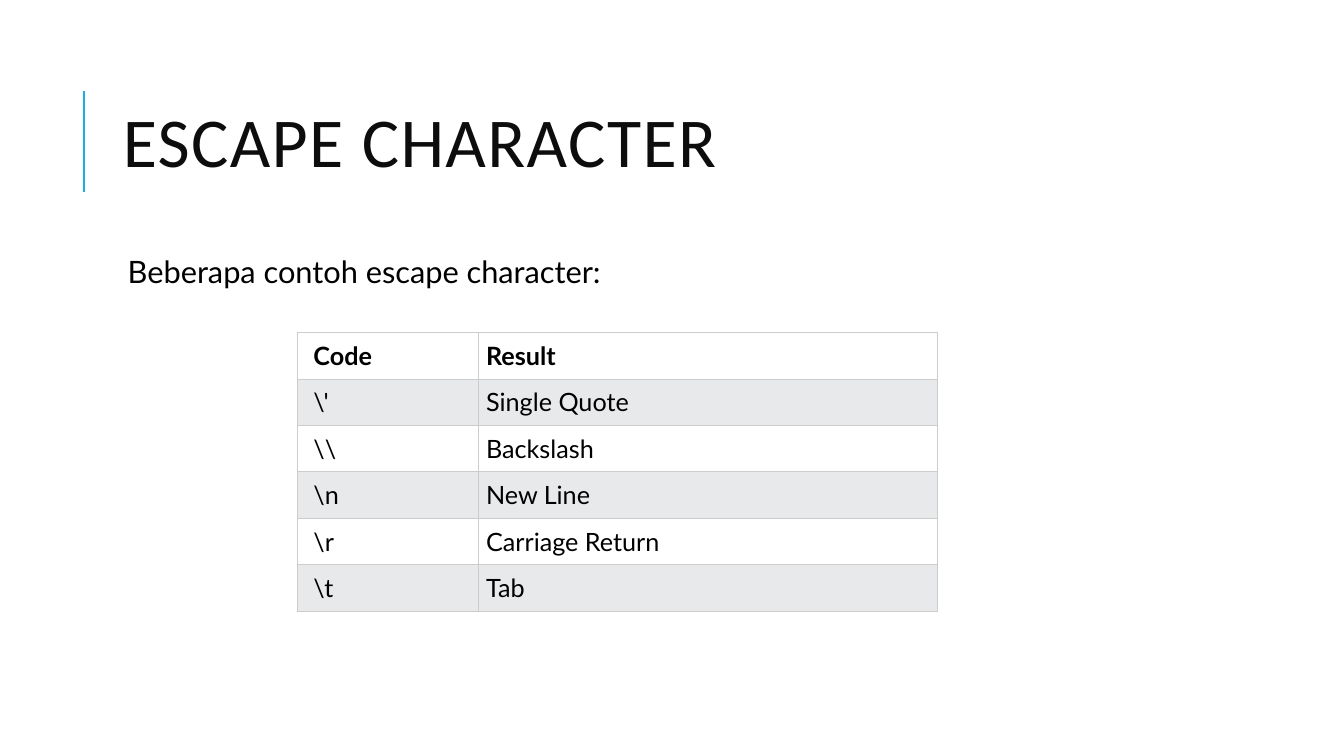
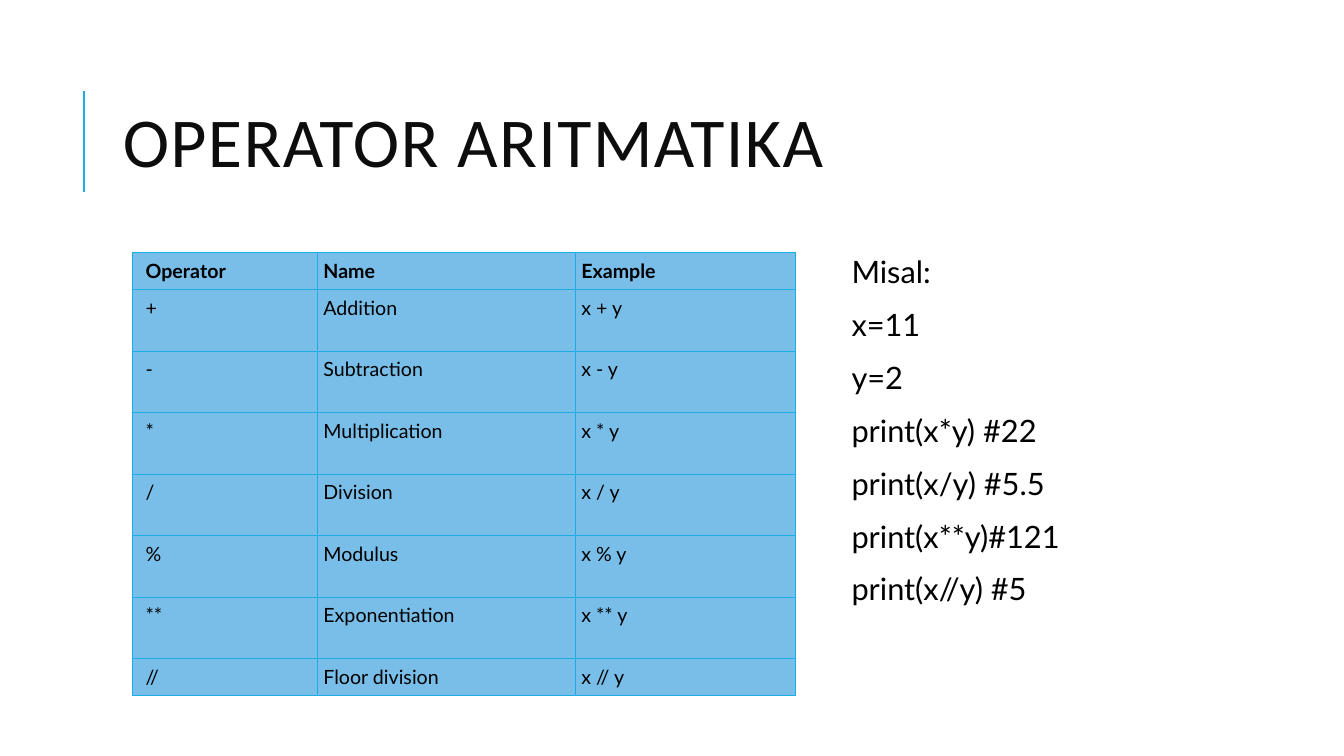
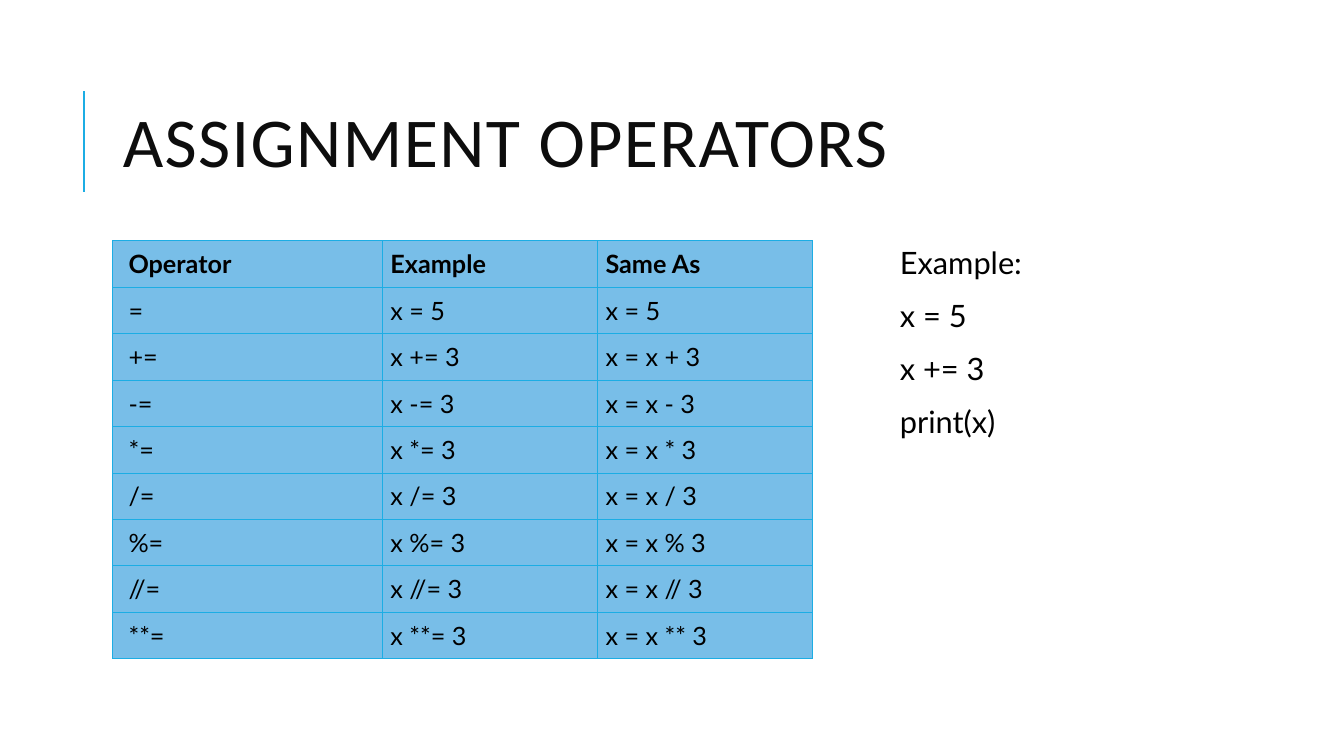
from dataclasses import dataclass

from lxml.etree import SubElement
from pptx import Presentation
from pptx.dml.color import RGBColor
from pptx.enum.shapes import MSO_CONNECTOR
from pptx.enum.text import MSO_ANCHOR, PP_ALIGN
from pptx.oxml.ns import qn
from pptx.util import Cm, Pt


# Theme: colours, fonts and type sizes
@dataclass(frozen=True)
class Theme:
    accent: str = "1CADE4"
    title: str = "0D0D0D"
    text: str = "000000"
    white: str = "FFFFFF"
    stripe: str = "E7E9EB"
    grid: str = "CCCCCC"
    panel: str = "78BEE8"
    title_font: str = "Calibri"
    body_font: str = "Lato"
    title_size: int = 50
    body_size: int = 22
    table_size: int = 18
    small_table_size: int = 14


THEME = Theme()


# Position and size in centimetres
@dataclass(frozen=True)
class Box:
    left: float
    top: float
    width: float
    height: float

    def lengths(self):
        return Cm(self.left), Cm(self.top), Cm(self.width), Cm(self.height)


@dataclass(frozen=True)
class TableStyle:
    fills: tuple
    border: str
    border_width: float
    size: int
    inset: float


STRIPED = TableStyle((THEME.white, THEME.stripe), THEME.grid, 0.71, THEME.table_size, 0.2)
BLUE = TableStyle((THEME.panel,), THEME.accent, 0.75, THEME.table_size, 0.2)
BLUE_SMALL = TableStyle((THEME.panel,), THEME.accent, 0.75, THEME.small_table_size, 0.16)

TITLE_BOX = Box(2.84, 1.63, 27, 4.17)
TITLE_ONLY = 5
ROW_HEIGHT = 1.17


def add_run(paragraph, text, font_name, size, color, bold=False):
    run = paragraph.add_run()
    run.text = text
    font = run.font
    font.name, font.size, font.bold = font_name, Pt(size), bold
    font.color.rgb = RGBColor.from_string(color)
    return run


# Title with the accent line on its left
def add_title(slide, box, text):
    title = slide.shapes.title
    title.left, title.top, title.width, title.height = box.lengths()
    frame = title.text_frame
    frame.vertical_anchor = MSO_ANCHOR.MIDDLE
    paragraph = frame.paragraphs[0]
    paragraph.alignment = PP_ALIGN.LEFT
    paragraph.line_spacing = 0.8
    run = add_run(paragraph, text, THEME.title_font, THEME.title_size, THEME.title)
    run.font._element.set("spc", "100")

    line_left, line_top = Cm(box.left - 0.72), Cm(box.top + 0.66)
    line = slide.shapes.add_connector(
        MSO_CONNECTOR.STRAIGHT, line_left, line_top + Cm(2.54), line_left, line_top)
    line.line.color.rgb = RGBColor.from_string(THEME.accent)
    line.line.width = Pt(1.5)
    SubElement(line._element.spPr, qn("a:effectLst"))


# Body text, one paragraph for each line
def add_body(slide, box, lines):
    frame = slide.shapes.add_textbox(*box.lengths()).text_frame
    frame.word_wrap = True
    frame.margin_left = Cm(0.38)
    frame.margin_top = frame.margin_right = frame.margin_bottom = Cm(0.13)
    for index, text in enumerate(lines):
        paragraph = frame.add_paragraph() if index else frame.paragraphs[0]
        paragraph.line_spacing = 0.9
        paragraph.space_before, paragraph.space_after = Pt(12), Pt(2)
        add_run(paragraph, text, THEME.body_font, THEME.body_size, THEME.text)


def set_borders(cell, color, width):
    properties = cell._tc.get_or_add_tcPr()
    for side in ("lnL", "lnR", "lnT", "lnB"):
        line = SubElement(properties, qn(f"a:{side}"), w=str(Pt(width)))
        fill = SubElement(line, qn("a:solidFill"))
        SubElement(fill, qn("a:srgbClr"), val=color)


# Table with a bold header row and a wider inset in the first column
def add_table(slide, left, top, widths, heights, rows, style):
    box = Box(left, top, sum(widths), sum(heights))
    table = slide.shapes.add_table(len(rows), len(widths), *box.lengths()).table
    table.first_row = table.horz_banding = False
    for column, width in zip(table.columns, widths):
        column.width = Cm(width)
    for row_index, (row, height, texts) in enumerate(zip(table.rows, heights, rows)):
        row.height = Cm(height)
        fill = style.fills[row_index % len(style.fills)]
        for column_index, (cell, text) in enumerate(zip(row.cells, texts)):
            set_borders(cell, style.border, style.border_width)
            cell.fill.solid()
            cell.fill.fore_color.rgb = RGBColor.from_string(fill)
            cell.margin_left = Cm(style.inset if column_index else 2 * style.inset)
            cell.margin_top = cell.margin_right = cell.margin_bottom = Cm(style.inset)
            add_run(cell.text_frame.paragraphs[0], text, THEME.body_font,
                    style.size, THEME.text, bold=row_index == 0)


def new_slide(presentation, title):
    slide = presentation.slides.add_slide(presentation.slide_layouts[TITLE_ONLY])
    add_title(slide, TITLE_BOX, title)
    return slide


def escape_slide(presentation):
    slide = new_slide(presentation, "ESCAPE CHARACTER")
    add_body(slide, Box(2.84, 6.35, 27, 11.18), ["Beberapa contoh escape character:"])
    rows = [
        ("Code", "Result"),
        ("\\'", "Single Quote"),
        ("\\\\", "Backslash"),
        ("\\n", "New Line"),
        ("\\r", "Carriage Return"),
        ("\\t", "Tab"),
    ]
    add_table(slide, 7.5, 8.38, [4.55, 11.58], [ROW_HEIGHT] * len(rows), rows, STRIPED)


def arithmetic_slide(presentation):
    slide = new_slide(presentation, "OPERATOR ARITMATIKA")
    add_body(slide, Box(21.08, 6.35, 8.76, 11.18), [
        "Misal:", "x=11", "y=2", "print(x*y) #22", "print(x/y) #5.5",
        "print(x**y)#121", "print(x//y) #5"])
    operators = [
        ("+", "Addition"),
        ("-", "Subtraction"),
        ("*", "Multiplication"),
        ("/", "Division"),
        ("%", "Modulus"),
        ("**", "Exponentiation"),
        ("//", "Floor division"),
    ]
    rows = [("Operator", "Name", "Example")]
    rows += [(sign, name, f"x {sign} y") for sign, name in operators]
    heights = [0.93] + [1.55] * (len(rows) - 2) + [0.93]
    add_table(slide, 3.35, 6.37, [4.64, 6.5, 5.56], heights, rows, BLUE_SMALL)


def assignment_slide(presentation):
    slide = new_slide(presentation, "ASSIGNMENT OPERATORS")
    add_body(slide, Box(22.3, 6.12, 4.6, 11.18), ["Example:", "x = 5", "x += 3", "print(x)"])
    rows = [("Operator", "Example", "Same As"), ("=", "x = 5", "x = 5")]
    rows += [(f"{sign}=", f"x {sign}= 3", f"x = x {sign} 3")
             for sign in ("+", "-", "*", "/", "%", "//", "**")]
    add_table(slide, 2.84, 6.07, [6.8, 5.42, 5.42], [ROW_HEIGHT] * len(rows), rows, BLUE)


presentation = Presentation()
presentation.slide_width, presentation.slide_height = Cm(33.87), Cm(19.05)
for build_slide in (escape_slide, arithmetic_slide, assignment_slide):
    build_slide(presentation)
presentation.save("out.pptx")
